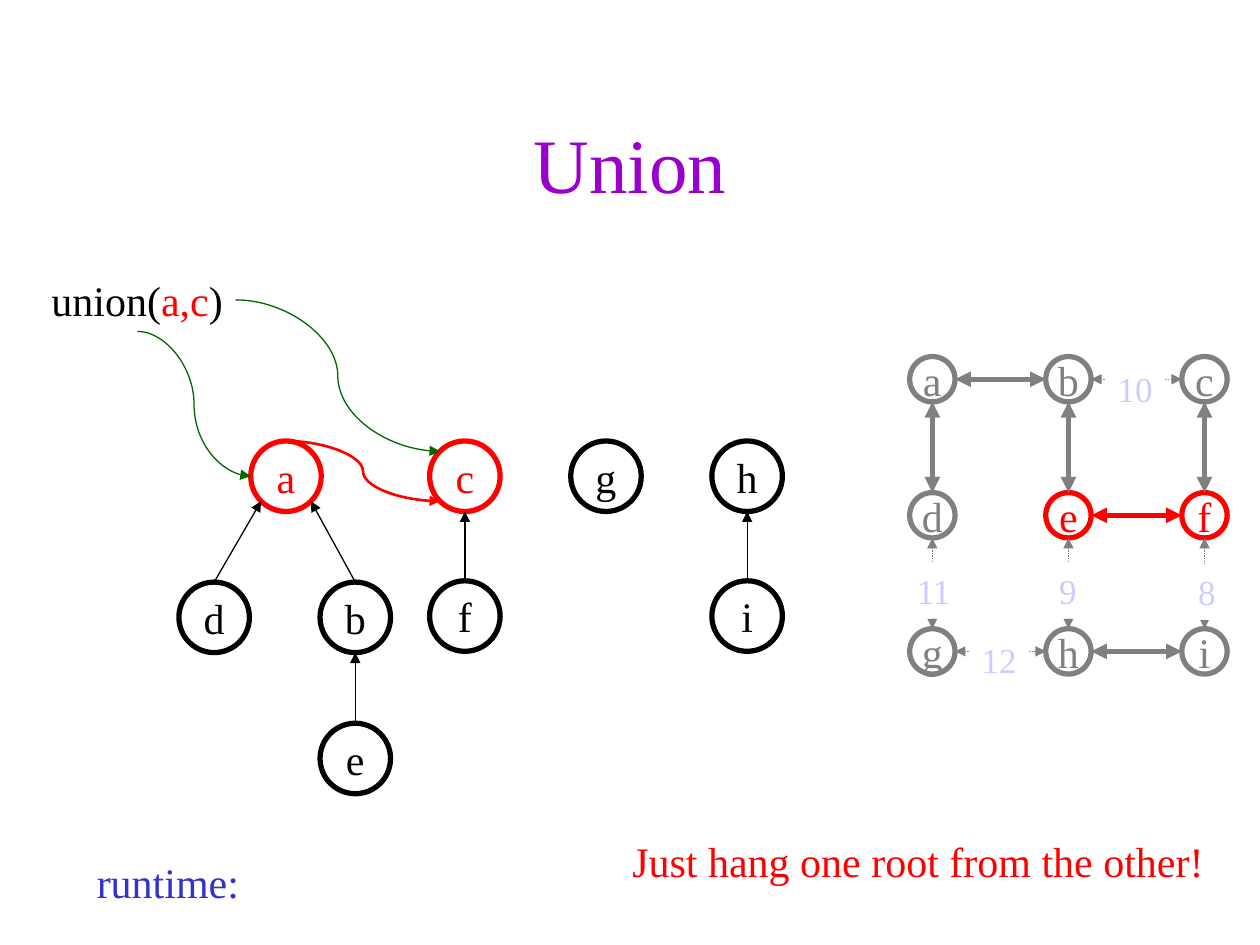
"""Build the Union slide: an up-tree forest beside its weighted maze grid."""
from math import sqrt

from lxml.etree import SubElement
from pptx import Presentation
from pptx.dml.color import RGBColor
from pptx.enum.dml import MSO_LINE
from pptx.enum.shapes import MSO_CONNECTOR as Link, MSO_SHAPE as Preset
from pptx.enum.text import MSO_ANCHOR as Anchor, MSO_AUTO_SIZE as AutoSize, PP_ALIGN as Align
from pptx.oxml.ns import qn
from pptx.util import Inches, Pt

COLORS = {"purple": "9900CC", "red": "FF0000", "black": "000000", "gray": "808080",
          "green": "006600", "lilac": "CCCCFF", "blue": "3333CC", "white": "FFFFFF"}
TITLE = ("Union", (0.75, 0.67, 8.5, 1.25))
CAPTIONS = [
    ([("union(", "black"), ("a,c", "red"), (")", "black")], (0.31, 2.13, 1.56, 0.5)),
    ([("Just hang one root from the other!", "red")], (4.92, 6.58, 4.74, 0.5)),
    ([("runtime:", "blue")], (0.67, 6.75, 1.33, 0.5)),
]
TREE_SIZE = 0.56
TREE = {"a": (1.99, 3.5), "c": (3.41, 3.5), "g": (4.53, 3.5), "h": (5.65, 3.5),
        "d": (1.42, 4.62), "b": (2.54, 4.62), "e": (2.54, 5.74),
        "f": (3.41, 4.61), "i": (5.65, 4.61)}
UNION_ROOTS = "ac"
PARENTS = [("d", "a"), ("b", "a"), ("e", "b"), ("f", "c"), ("i", "h")]
GRID_SIZE, GRID_STEP, GRID_LEFT, GRID_TOP = 0.36, 1.08, 7.22, 2.83
GRID_ROWS = ["abc", "def", "ghi"]
CURRENT_EDGE = "ef"
OPEN_EDGES = ["ab", "ad", "be", "cf", "hi", CURRENT_EDGE]
WALLS = ["bc", "dg", "eh", "fi", "gh"]
WEIGHTS = [("11", 7.17, 4.47, 0.48), ("10", 8.77, 2.87, 0.48), ("9", 8.19, 4.47, 0.57),
           ("8", 9.41, 4.48, 0.29), ("12", 7.69, 5.02, 0.48)]
WEIGHT_HEIGHT = 0.44
DIAGONAL = 1 / sqrt(2)


def rgb(name):
    return RGBColor.from_string(COLORS[name])


def write(shape, runs, size, align=Align.LEFT, **frame_format):
    frame = shape.text_frame
    for key, value in frame_format.items():
        setattr(frame, key, value)
    paragraph = frame.paragraphs[0]
    paragraph.alignment = align
    for text, color in runs:
        run = paragraph.add_run()
        run.text = text
        run.font.color.rgb = rgb(color)
        for key, value in {"name": "Times New Roman", "size": Pt(size)}.items():
            setattr(run.font, key, value)


def add_node(shapes, letter, corner, size, color):
    node = shapes.add_shape(Preset.OVAL, *map(Inches, (*corner, size, size)))
    node.shadow.inherit = False
    node.fill.background()
    node.line.color.rgb = rgb(color)
    node.line.width = Pt(3)
    write(node, [(letter, color)], 24, Align.CENTER,
          word_wrap=False, vertical_anchor=Anchor.MIDDLE)


def add_link(shapes, start, end, color, width=0.75, kind=Link.STRAIGHT,
             both_ends=False, dash=None):
    link = shapes.add_connector(kind, *map(Inches, (*start, *end)))
    link.line.color.rgb = rgb(color)
    link.line.width = Pt(width)
    if dash:
        link.line.dash_style = dash
    outline = link.line._get_or_add_ln()
    for tag in ["a:headEnd", "a:tailEnd"] if both_ends else ["a:tailEnd"]:
        SubElement(outline, qn(tag), type="triangle")
    SubElement(link._element.spPr, qn("a:effectLst"))


def rim(corner, size, across, down):
    return tuple(edge + size / 2 * (1 + way) for edge, way in zip(corner, (across, down)))


def draw_forest(shapes):
    for letter, corner in TREE.items():
        add_node(shapes, letter, corner, TREE_SIZE, "red" if letter in UNION_ROOTS else "black")
    for child, parent in PARENTS:
        offset = TREE[child][0] - TREE[parent][0]
        side = (offset > 0) - (offset < 0)
        target = (side * DIAGONAL, DIAGONAL) if side else (0, 1)
        add_link(shapes, rim(TREE[child], TREE_SIZE, 0, -1),
                 rim(TREE[parent], TREE_SIZE, *target), "black")
    a_top, a_left = (rim(TREE["a"], TREE_SIZE, *way) for way in [(0, -1), (-1, 0)])
    c_upper, c_lower = (rim(TREE["c"], TREE_SIZE, -DIAGONAL, way * DIAGONAL) for way in (-1, 1))
    for start, end, color, width in [((1.87, 2.38), c_upper, "green", 0.75),
                                     ((1.09, 2.63), a_left, "green", 0.75),
                                     (a_top, c_lower, "red", 1.5)]:
        add_link(shapes, start, end, color, width, Link.CURVE)


def draw_maze(shapes):
    rooms = {letter: (GRID_LEFT + column * GRID_STEP, GRID_TOP + row * GRID_STEP)
             for row, letters in enumerate(GRID_ROWS) for column, letter in enumerate(letters)}
    for letter, corner in rooms.items():
        add_node(shapes, letter, corner, GRID_SIZE, "red" if letter in CURRENT_EDGE else "gray")
    for edges, width, dash in [(OPEN_EDGES, 3, None), (WALLS, 0.75, MSO_LINE.ROUND_DOT)]:
        for edge in edges:
            first, second = (rooms[letter] for letter in edge)
            way = (1, 0) if first[1] == second[1] else (0, 1)
            add_link(shapes, rim(first, GRID_SIZE, *way),
                     rim(second, GRID_SIZE, -way[0], -way[1]),
                     "red" if edge == CURRENT_EDGE else "gray", width,
                     both_ends=True, dash=dash)
    for weight, left, top, width in WEIGHTS:
        label = shapes.add_shape(Preset.RECTANGLE, *map(Inches, (left, top, width, WEIGHT_HEIGHT)))
        label.shadow.inherit = False
        label.fill.solid()
        label.fill.fore_color.rgb = rgb("white")
        label.line.fill.background()
        write(label, [(weight, "lilac")], 20, Align.CENTER, word_wrap=True,
              vertical_anchor=Anchor.TOP, auto_size=AutoSize.SHAPE_TO_FIT_TEXT)


def main():
    deck = Presentation()
    deck.slide_width, deck.slide_height = Inches(10), Inches(7.5)
    slide = deck.slides.add_slide(deck.slide_layouts[5])
    title, text = slide.shapes.title, TITLE[0]
    for side, length in zip(("left", "top", "width", "height"), TITLE[1]):
        setattr(title, side, Inches(length))
    write(title, [(text, "purple")], 44, Align.CENTER, vertical_anchor=Anchor.MIDDLE)
    draw_forest(slide.shapes)
    draw_maze(slide.shapes)
    for runs, box in CAPTIONS:
        write(slide.shapes.add_textbox(*map(Inches, box)), runs, 24,
              word_wrap=False, auto_size=AutoSize.SHAPE_TO_FIT_TEXT)
    deck.save("out.pptx")


if __name__ == "__main__":
    main()
